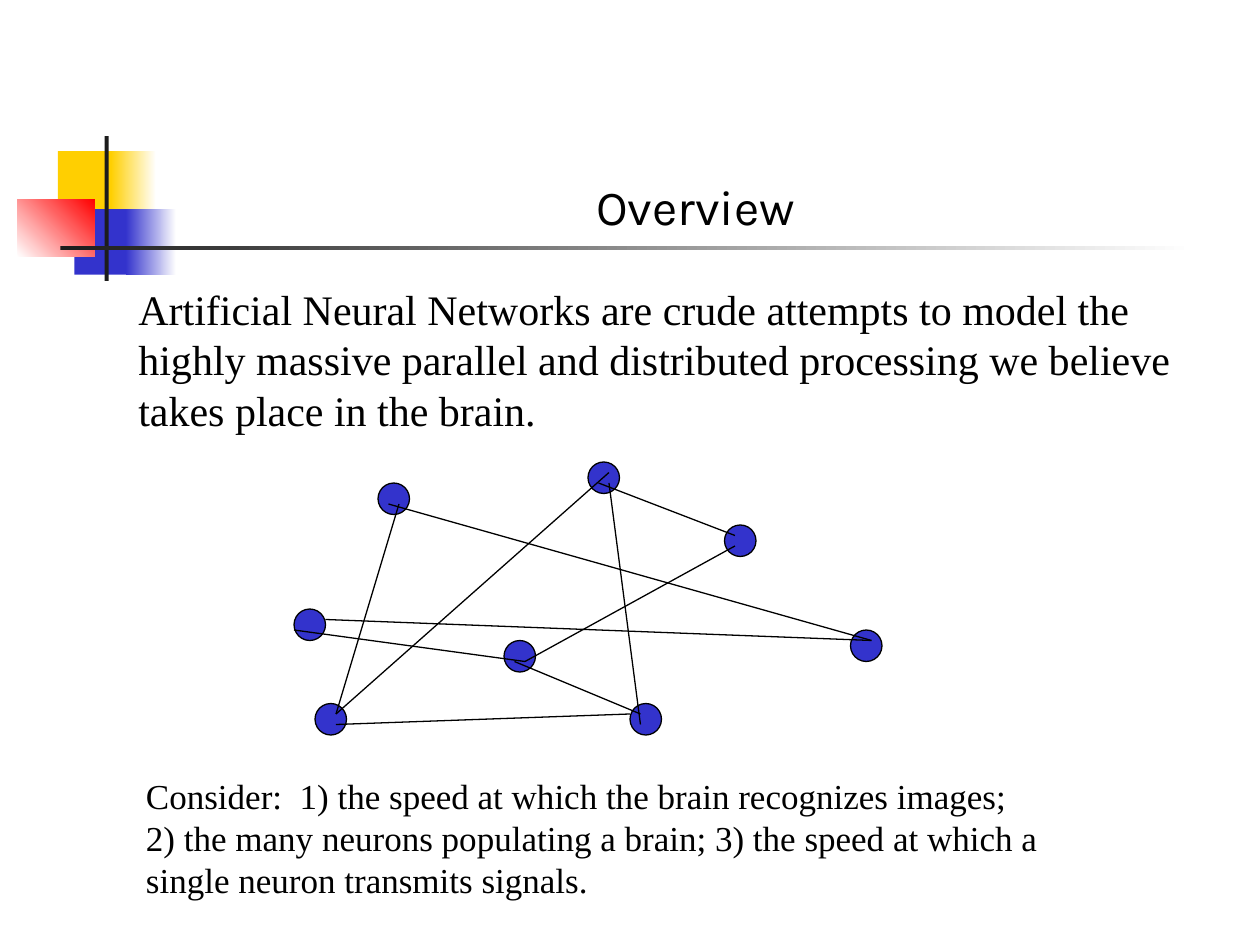
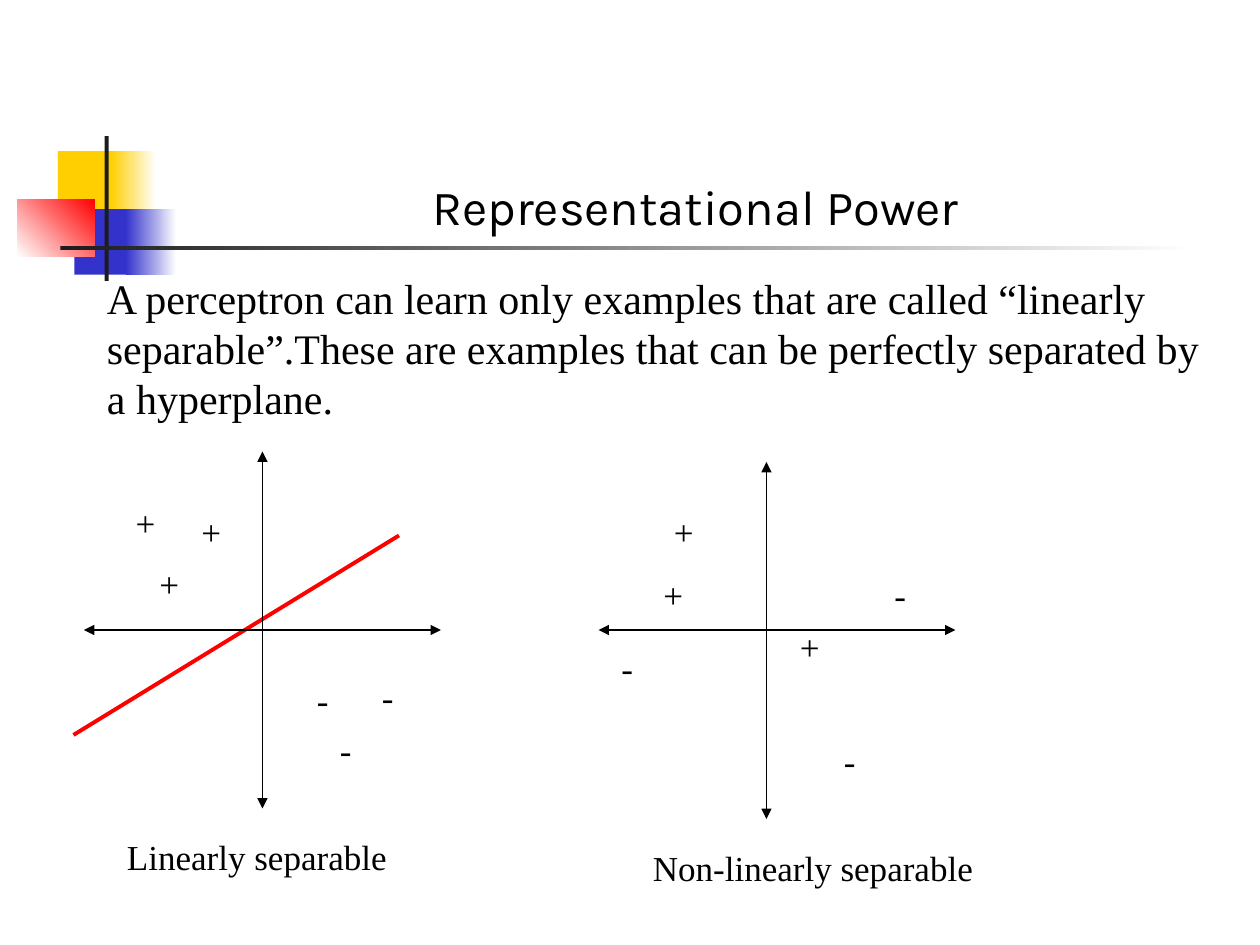
from dataclasses import dataclass
from typing import NamedTuple, Optional

from lxml import etree
from pptx import Presentation
from pptx import util as u
from pptx.dml.color import RGBColor
from pptx.enum import shapes, text
from pptx.oxml.ns import qn

BLACK = RGBColor(0x00, 0x00, 0x00)
WHITE = RGBColor(0xFF, 0xFF, 0xFF)
YELLOW = RGBColor(0xFF, 0xCF, 0x01)
BLUE = RGBColor(0x33, 0x33, 0xCC)
RED = RGBColor(0xFF, 0x00, 0x00)
CHARCOAL = RGBColor(0x1C, 0x1C, 0x1C)

TITLE_FONT = "Karla"
BODY_FONT = "Times New Roman"
TITLE_SIZE, BODY_SIZE, NOTE_SIZE = 28, 24, 20

COLUMNS, ROWS = 120, 90
SLIDE_W, SLIDE_H = u.Inches(10), u.Inches(7.5)


class Point(NamedTuple):
    col: float
    row: float


class Box(NamedTuple):
    col: float
    row: float
    cols: float
    rows: float


class Band(NamedTuple):
    box: Box
    start: RGBColor
    end: Optional[RGBColor] = None
    angle: float = 0


@dataclass
class Plot:
    left: float
    axis_col: float
    top: float
    positives: list[Point]
    negatives: list[Point]
    caption: str
    caption_box: Box


TITLE_BOX = Box(15.12, 8.04, 102.24, 15)
BANDS = [
    Band(Box(5.52, 14.4, 5.76, 6.24), YELLOW),
    Band(Box(10.56, 14.4, 4.32, 6.24), YELLOW, WHITE),
    Band(Box(7.08, 19.92, 5.52, 6.24), BLUE),
    Band(Box(12, 19.92, 4.8, 6.24), BLUE, WHITE),
    Band(Box(1.68, 18.96, 7.32, 5.52), WHITE, RED, 45),
    Band(Box(9.96, 12.96, 0.4, 13.8), CHARCOAL),
    Band(Box(5.76, 23.4, 108, 0.4), CHARCOAL, WHITE),
]

NEURON_SIZE = 3
NEURONS = [
    Point(28, 58), Point(36, 46), Point(81, 60), Point(69, 50),
    Point(56, 44), Point(60, 67), Point(48, 61), Point(30, 67),
]
SYNAPSES = [
    (Point(32, 68), Point(38, 48)),
    (Point(32, 69), Point(60, 68)),
    (Point(28, 60), Point(50, 63)),
    (Point(57, 46), Point(70, 51)),
    (Point(58, 45), Point(32, 68)),
    (Point(37, 48), Point(83, 61)),
    (Point(31, 59), Point(83, 61)),
    (Point(58, 46), Point(61, 69)),
    (Point(70, 52), Point(50, 63)),
    (Point(49, 63), Point(61, 68)),
]

AXIS_LENGTH, AXIS_ROW = 34, 60
MARK_COLS, MARK_ROWS = 4.25, 5.28
SEPARATOR = (Point(7, 70), Point(38, 51))
PLOTS = [
    Plot(8, 25, 43,
         [Point(11.75, 47.2), Point(14, 53), Point(18, 48)],
         [Point(29, 64), Point(31.2, 68.8), Point(35.2, 63.7)],
         "Linearly separable", Box(10.92, 79, 27.12, MARK_ROWS)),
    Plot(57, 73, 44,
         [Point(63, 48), Point(62, 54), Point(75, 59)],
         [Point(58, 61), Point(79.2, 69.8), Point(84, 54)],
         "Non-linearly separable", Box(61, 80, 32.88, MARK_ROWS)),
]


def x(cols: float) -> int:
    return round(SLIDE_W * cols / COLUMNS)


def y(rows: float) -> int:
    return round(SLIDE_H * rows / ROWS)


def place(box: Box) -> tuple[int, int, int, int]:
    return x(box.col), y(box.row), x(box.cols), y(box.rows)


def format_text(tf, font: str, size: float) -> None:
    for p in tf.paragraphs:
        for r in p.runs:
            r.font.name = font
            r.font.size = u.Pt(size)
            r.font.color.rgb = BLACK


def add_band(s, band: Band) -> None:
    sp = s.shapes.add_shape(shapes.MSO_SHAPE.RECTANGLE, *place(band.box))
    sp.shadow.inherit = False
    sp.line.fill.background()
    if band.end is None:
        sp.fill.solid()
        sp.fill.fore_color.rgb = band.start
        return
    sp.fill.gradient()
    sp.fill.gradient_angle = band.angle
    for stop, color in zip(sp.fill.gradient_stops, (band.start, band.end)):
        stop.color.rgb = color


def add_titled_slide(prs, title: str):
    s = prs.slides.add_slide(prs.slide_layouts[5])
    for band in BANDS:
        add_band(s, band)
    sp = s.shapes.title
    s.shapes.element.append(sp.element)
    sp.left, sp.top, sp.width, sp.height = place(TITLE_BOX)
    tf = sp.text_frame
    tf.text = title
    tf.auto_size = text.MSO_AUTO_SIZE.NONE
    tf.vertical_anchor = text.MSO_ANCHOR.BOTTOM
    tf.paragraphs[0].alignment = text.PP_ALIGN.CENTER
    format_text(tf, TITLE_FONT, TITLE_SIZE)
    return s


def add_text(s, box: Box, words: str, size: float, wrap: bool = False) -> None:
    tf = s.shapes.add_textbox(*place(box)).text_frame
    tf.text = words
    tf.word_wrap = wrap
    tf.auto_size = text.MSO_AUTO_SIZE.SHAPE_TO_FIT_TEXT
    format_text(tf, BODY_FONT, size)


def add_line(s, start: Point, end: Point, color: RGBColor = BLACK,
             width: float = 0.75, arrows: bool = False) -> None:
    sp = s.shapes.add_connector(
        shapes.MSO_CONNECTOR.STRAIGHT,
        x(start.col), y(start.row), x(end.col), y(end.row))
    sp.line.color.rgb = color
    sp.line.width = u.Pt(width)
    properties = sp.element.spPr
    if arrows:
        ln = properties.find(qn("a:ln"))
        for tag in ("a:headEnd", "a:tailEnd"):
            etree.SubElement(ln, qn(tag), type="triangle")
    etree.SubElement(properties, qn("a:effectLst"))


def add_neuron(s, corner: Point) -> None:
    sp = s.shapes.add_shape(
        shapes.MSO_SHAPE.OVAL, *place(Box(*corner, NEURON_SIZE, NEURON_SIZE)))
    sp.shadow.inherit = False
    sp.fill.solid()
    sp.fill.fore_color.rgb = BLUE
    sp.line.color.rgb = BLACK
    sp.line.width = u.Pt(0.75)


def add_plot(s, plot: Plot) -> None:
    add_line(s, Point(plot.axis_col, plot.top),
             Point(plot.axis_col, plot.top + AXIS_LENGTH), arrows=True)
    add_line(s, Point(plot.left, AXIS_ROW),
             Point(plot.left + AXIS_LENGTH, AXIS_ROW), arrows=True)
    for sign, marks in (("+", plot.positives), ("-", plot.negatives)):
        for mark in marks:
            add_text(s, Box(*mark, MARK_COLS, MARK_ROWS), sign, NOTE_SIZE,
                     wrap=sign == "-")
    add_text(s, plot.caption_box, plot.caption, NOTE_SIZE)


def build_overview(prs) -> None:
    s = add_titled_slide(prs, "Overview")
    add_text(s, Box(12, 26.4, 101.64, 15.6),
             "Artificial Neural Networks are crude attempts to model the\n"
             "highly massive parallel and distributed processing we believe\n"
             "takes place in the brain.", BODY_SIZE)
    for neuron in NEURONS:
        add_neuron(s, neuron)
    for start, end in SYNAPSES:
        add_line(s, start, end)
    add_text(s, Box(12.72, 73.2, 88.2, 13.2),
             "Consider:  1) the speed at which the brain recognizes images;\n"
             "2) the many neurons populating a brain; 3) the speed at which a\n"
             "single neuron transmits signals.", NOTE_SIZE)


def build_representational_power(prs) -> None:
    s = add_titled_slide(prs, "Representational Power")
    add_text(s, Box(9, 25.32, 107.04, 15.6),
             "A perceptron can learn only examples that are called “linearly "
             "separable”.These are examples that can be perfectly separated by "
             "a hyperplane.", BODY_SIZE, wrap=True)
    add_line(s, *SEPARATOR, color=RED, width=2.25)
    for plot in PLOTS:
        add_plot(s, plot)


def main() -> None:
    prs = Presentation()
    prs.slide_width, prs.slide_height = SLIDE_W, SLIDE_H
    build_overview(prs)
    build_representational_power(prs)
    prs.save("out.pptx")


if __name__ == "__main__":
    main()
